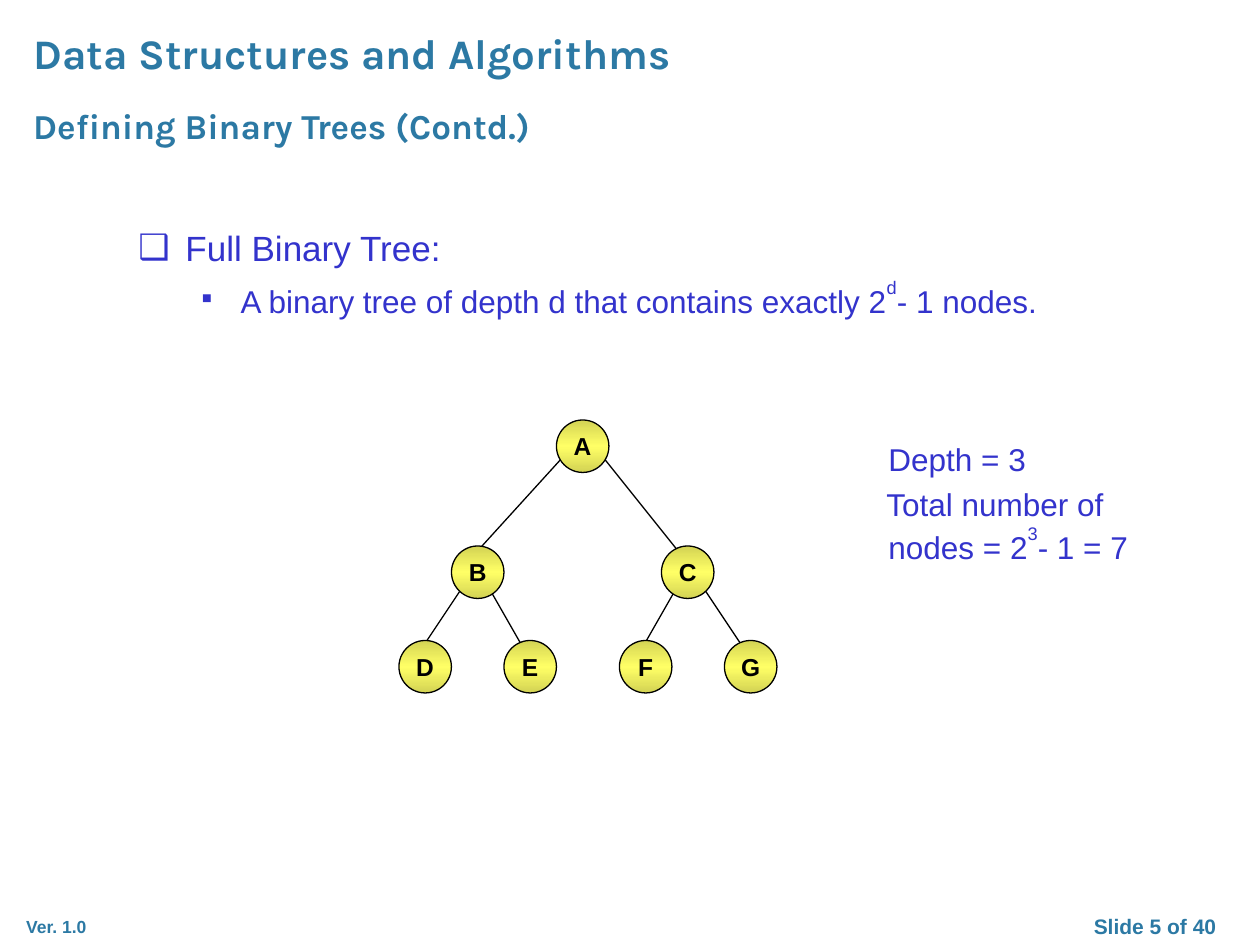
from copy import deepcopy
from typing import NamedTuple

from lxml import etree
from pptx import Presentation, util as u
from pptx.dml.color import RGBColor
from pptx.enum import shapes, text
from pptx.oxml.ns import qn

TEAL = RGBColor(0x2C, 0x79, 0xA4)
BLUE = RGBColor(0x33, 0x33, 0xCC)
BLACK = RGBColor(0, 0, 0)
OLIVE = RGBColor(0xD3, 0xD3, 0x54)
YELLOW = RGBColor(0xFF, 0xFF, 0x66)

UNIT = 2.54 / 12  # tree grid step in cm
SIZE = 5          # node width in grid steps


class Label(NamedTuple):
    words: str
    left: float
    top: float
    width: float
    height: float
    size: int
    font: str = "Arial"
    align: text.PP_ALIGN = text.PP_ALIGN.LEFT


class Para(NamedTuple):
    pieces: tuple  # every second piece is raised
    size: int
    margin: float
    indent: float
    bullet: str = ""
    before: float = 0


class Node(NamedTuple):
    x: int
    y: int


class Edge(NamedTuple):
    top: str
    end: str
    dx: int  # where the line leaves the upper node
    dy: int


LABELS = [
    Label("Data Structures and Algorithms", 0.42, 0.42, 21.17, 1.28, 24, "Karla"),
    Label("Defining Binary Trees (Contd.)", 0.42, 1.98, 19.05, 1.1, 20, "Karla"),
    Label("Ver. 1.0", 0.28, 18.34, 2, 0.68, 10),
    Label("Slide 5 of 40", 21.17, 18.29, 4.23, 0.77, 12,
          align=text.PP_ALIGN.CENTER),
]
POINTS = [
    Para(("Full Binary Tree:",), 20, 0.95, -0.95, "❑"),
    Para(("A binary tree of depth d that contains exactly 2", "d",
          "- 1 nodes."), 18, 2.06, -0.79, "▪", 4),
]
FACTS = [
    Para(("Depth = 3",), 18, 0.1, 0),
    Para(("Total number of nodes = 2", "3", "- 1 = 7"), 18, 0.1, -0.04, before=4),
]
NODES = {
    "A": Node(53, 40), "B": Node(43, 52), "C": Node(63, 52),
    "D": Node(38, 61), "E": Node(48, 61), "F": Node(59, 61), "G": Node(69, 61),
}
EDGES = [
    Edge("C", "G", 4, 4), Edge("C", "F", 2, 3),
    Edge("B", "E", 3, 3), Edge("B", "D", 1, 4),
    Edge("A", "C", 4, 3), Edge("A", "B", 2, 2),
]


def style(font, name: str, size: int, color: RGBColor, bold: bool = False) -> None:
    font.name, font.size, font.bold = name, u.Pt(size), bold
    font.color.rgb = color


def add_box(slide, left: float, top: float, width: float, height: float):
    box = slide.shapes.add_textbox(u.Cm(left), u.Cm(top), u.Cm(width), u.Cm(height))
    box.text_frame.word_wrap = True
    return box.text_frame


def add_label(slide, item: Label) -> None:
    frame = add_box(slide, item.left, item.top, item.width, item.height)
    frame.text = item.words
    para = frame.paragraphs[0]
    para.alignment = item.align
    style(para.runs[0].font, item.font, item.size, TEAL, True)


def add_paras(frame, items: list[Para]) -> None:
    for i, item in enumerate(items):
        para = frame.add_paragraph() if i else frame.paragraphs[0]
        para.space_before = u.Pt(item.before)
        props = para._p.get_or_add_pPr()
        props.set("marL", str(u.Cm(item.margin)))
        props.set("indent", str(u.Cm(item.indent)))
        if item.bullet:
            etree.SubElement(props, qn("a:buFont"), typeface="Arial")
            etree.SubElement(props, qn("a:buChar"), char=item.bullet)
        for j, piece in enumerate(item.pieces):
            run = para.add_run()
            run.text = piece
            style(run.font, "Arial", item.size, BLUE)
            if j % 2:
                run._r.get_or_add_rPr().set("baseline", "60000")


def grid(step: float) -> u.Length:
    return u.Cm(step * UNIT)


def add_edge(slide, edge: Edge) -> None:
    top, end = NODES[edge.top], NODES[edge.end]
    line = slide.shapes.add_connector(
        shapes.MSO_CONNECTOR.STRAIGHT,
        grid(top.x + edge.dx), grid(top.y + edge.dy),
        grid(end.x + 2), grid(end.y + 1))
    line.line.color.rgb = BLACK
    line.line.width = u.Pt(0.75)
    etree.SubElement(line._element.spPr, qn("a:effectLst"))


def shade(fill) -> None:
    """Fill with a vertical olive, yellow, olive gradient."""
    fill.gradient()
    fill.gradient_angle = 90
    last = fill.gradient_stops[1]._gs
    last.addprevious(deepcopy(last))
    for stop, place, color in zip(fill.gradient_stops, (0, 0.5, 1),
                                  (OLIVE, YELLOW, OLIVE)):
        stop.position = place
        stop.color.rgb = color


def add_node(slide, name: str, node: Node) -> None:
    disc = slide.shapes.add_shape(shapes.MSO_SHAPE.OVAL, grid(node.x),
                                  grid(node.y), grid(SIZE), grid(SIZE))
    disc.shadow.inherit = False
    shade(disc.fill)
    disc.line.color.rgb = BLACK
    disc.line.width = u.Pt(0.75)
    frame = disc.text_frame
    frame.word_wrap = False
    frame.vertical_anchor = text.MSO_ANCHOR.MIDDLE
    frame.text = name
    para = frame.paragraphs[0]
    para.alignment = text.PP_ALIGN.CENTER
    style(para.runs[0].font, "Arial", 14, BLACK, True)


def main() -> None:
    deck = Presentation()
    deck.slide_width, deck.slide_height = u.Cm(25.4), u.Cm(19.05)
    slide = deck.slides.add_slide(deck.slide_layouts[6])
    for item in LABELS:
        add_label(slide, item)
    add_paras(add_box(slide, 2.54, 4.45, 20.32, 12.7), POINTS)
    for edge in EDGES:
        add_edge(slide, edge)
    for name, node in NODES.items():
        add_node(slide, name, node)
    add_paras(add_box(slide, 17.56, 8.74, 5.94, 3.12), FACTS)
    deck.save("out.pptx")


if __name__ == "__main__":
    main()
